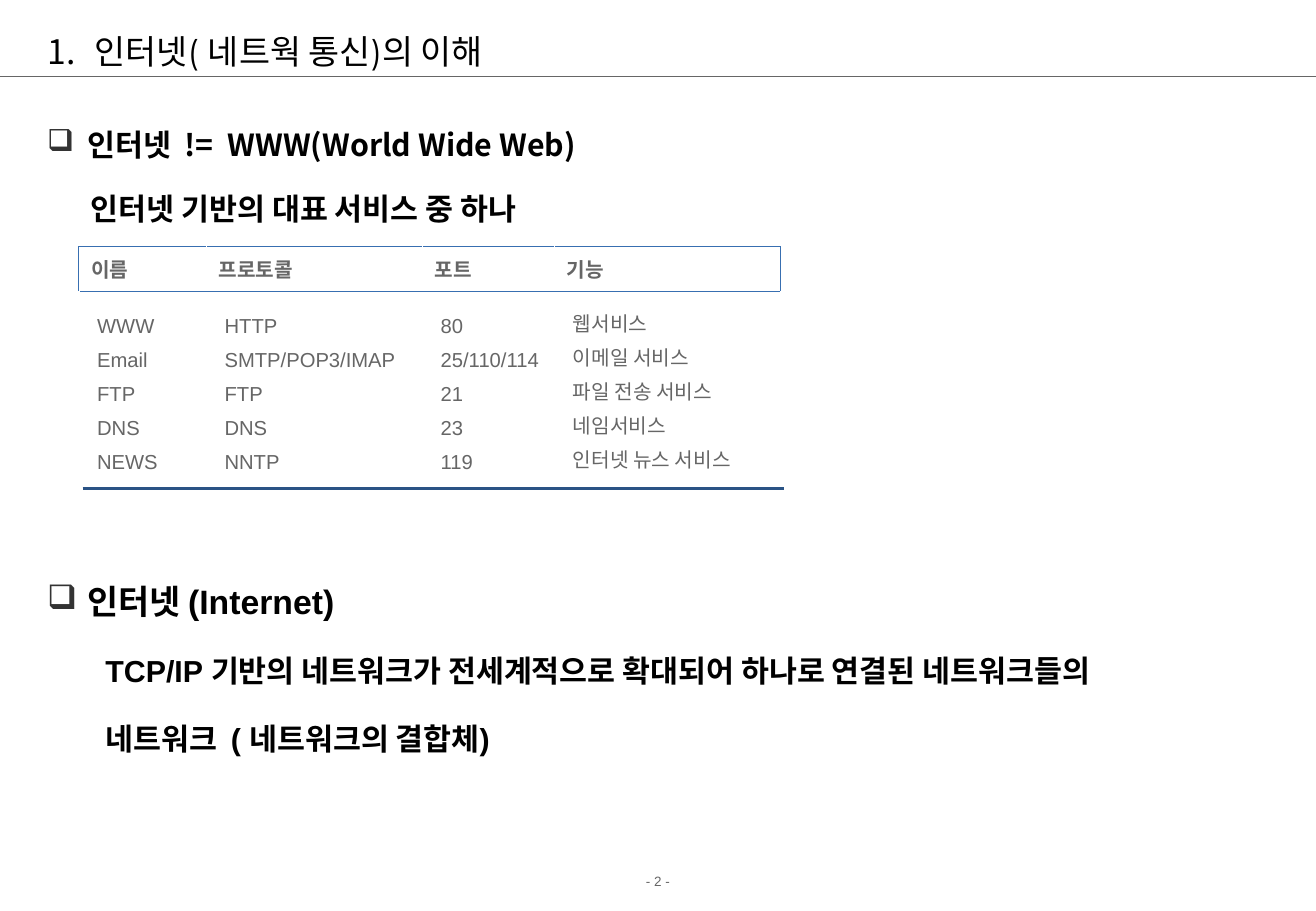
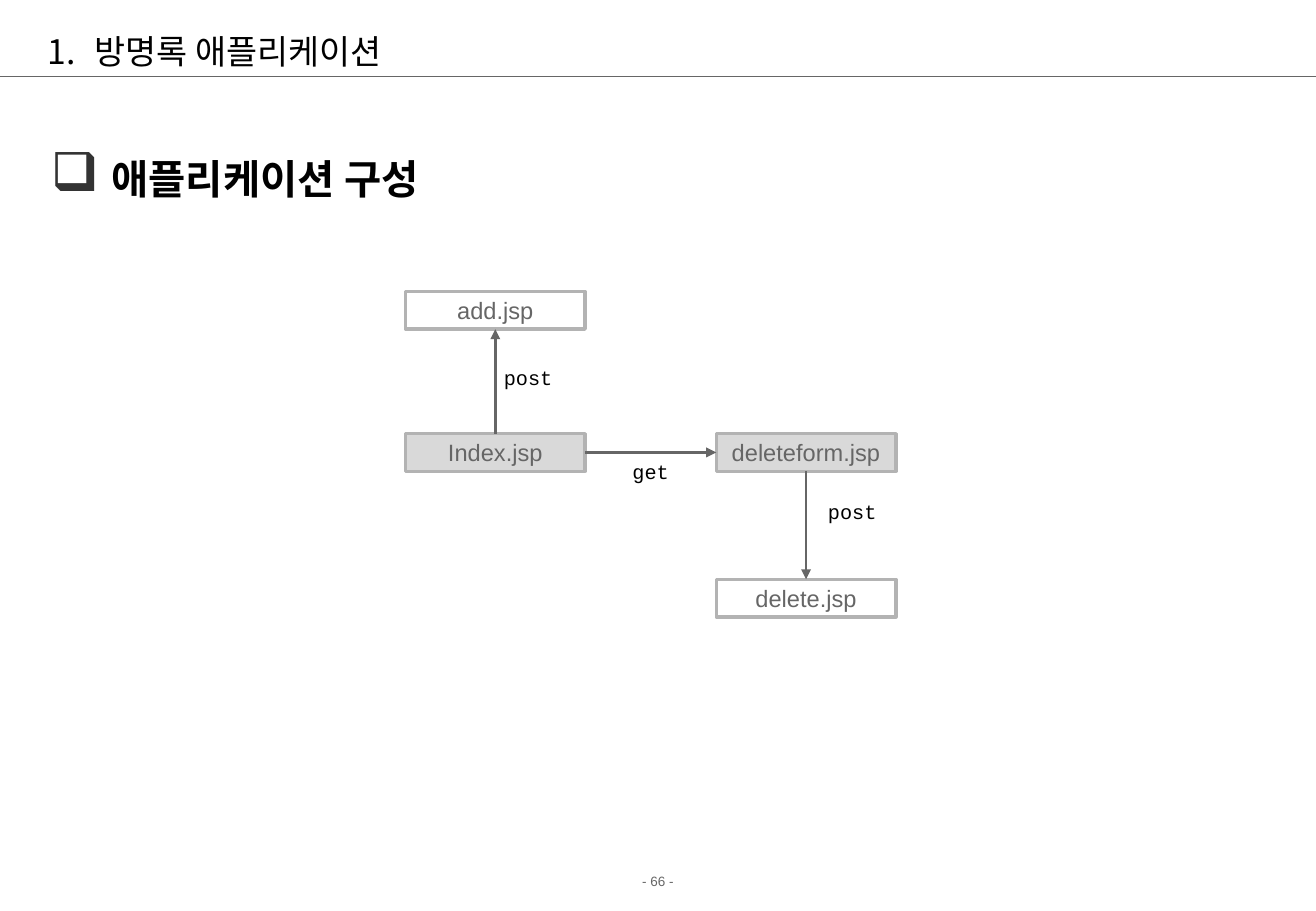
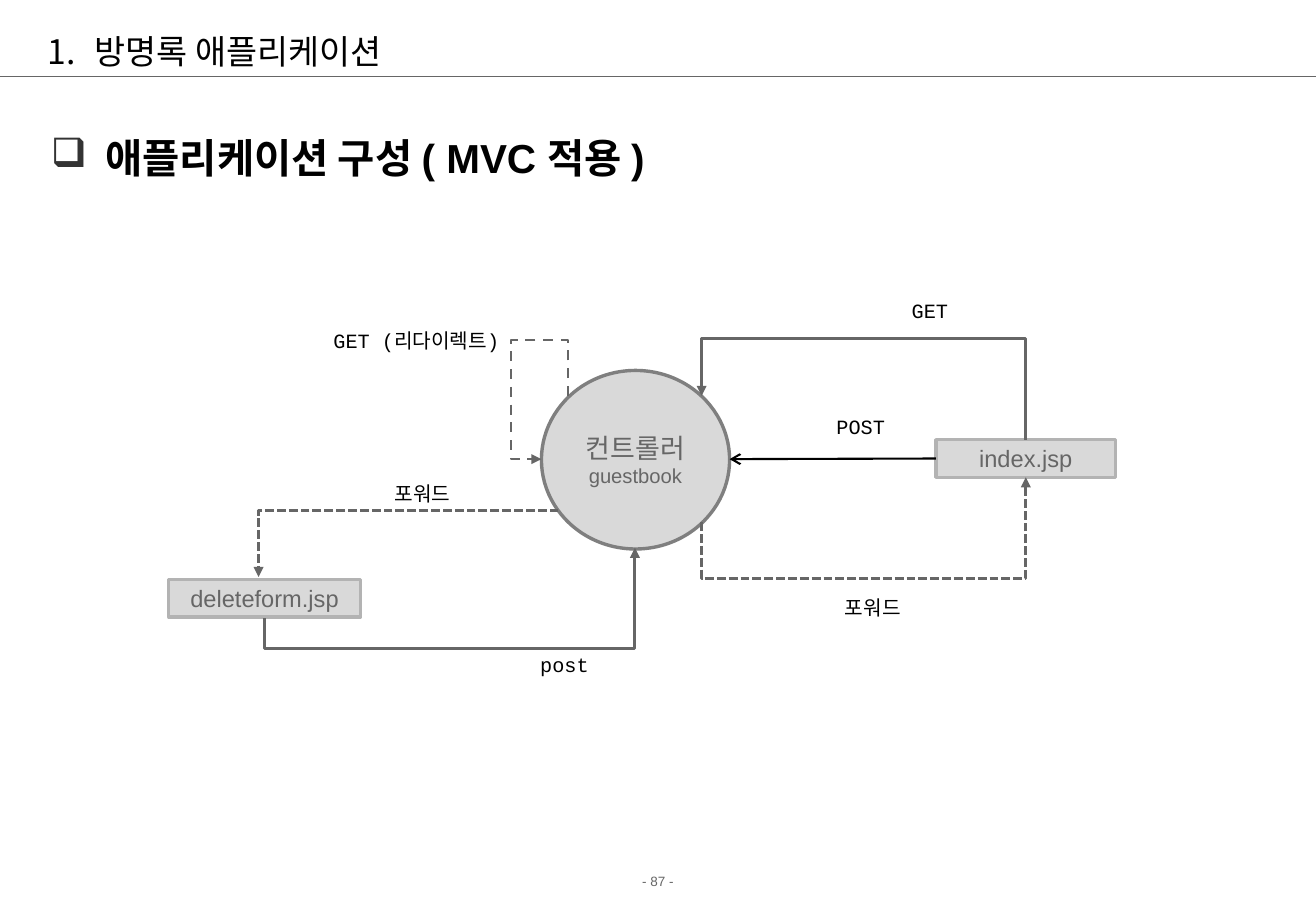
import lxml.etree
import pptx
import pptx.dml.color
import pptx.enum.dml
import pptx.enum.shapes
import pptx.enum.text
import pptx.oxml.ns
import pptx.util

Inches = pptx.util.Inches
Pt = pptx.util.Pt
rgb = pptx.dml.color.RGBColor.from_string
qn = pptx.oxml.ns.qn
add = lxml.etree.SubElement
Align = pptx.enum.text.PP_ALIGN
Anchor = pptx.enum.text.MSO_ANCHOR
Dash = pptx.enum.dml.MSO_LINE
Kind = pptx.enum.shapes.MSO_SHAPE
STRAIGHT = pptx.enum.shapes.MSO_CONNECTOR.STRAIGHT

BLACK, GRAY, PALE, EDGE = "000000", "666666", "D9D9D9", "B3B3B3"
BLUE, NAVY, RING, MARK = "386FB1", "2A5385", "7F7F7F", "333333"
CODE = "Courier New"


def put(para, text, size, color=GRAY, font="Arial", bold=False,
        align=Align.CENTER, indent=0, bullet=None, scale=100):
    """Fill a paragraph; a bullet hangs to the left of the indent."""
    para.text = text
    para.alignment = align
    props = para._p.get_or_add_pPr()
    props.set("marL", str(Inches(indent)))
    props.set("indent", str(-Inches(indent) if bullet else 0))
    if bullet:
        tint = add(props, qn("a:buClr"))
        add(tint, qn("a:srgbClr"), val=BLACK if bullet == "1." else MARK)
        add(props, qn("a:buSzPct"), val=str(scale * 1000))
        if bullet == "1.":
            add(props, qn("a:buAutoNum"), type="arabicPeriod")
        else:
            add(props, qn("a:buChar"), char=bullet)
    para.font.name = font
    para.font.size = Pt(size)
    para.font.bold = bold
    para.font.color.rgb = rgb(color)


def ink(shape, color, width, dash=None, tip=None):
    """Style an outline or line, without a shadow."""
    shape.line.color.rgb = rgb(color)
    shape.line.width = Pt(width)
    if dash:
        shape.line.dash_style = dash
    props = shape._element.spPr
    if tip:
        add(props.find(qn("a:ln")), qn("a:tailEnd"), type=tip)
    add(props, qn("a:effectLst"))


deck = pptx.Presentation()
deck.slide_width, deck.slide_height = Inches(10.84), Inches(7.5)

# Shared parts: title, rule and page number
pages = [
    ("인터넷( 네트웍 통신)의 이해", 2),
    ("방명록 애플리케이션", 66),
    ("방명록 애플리케이션", 87),
]
slides = []
for name, number in pages:
    slide = deck.slides.add_slide(deck.slide_layouts[5])
    slides.append(slide)
    title = slide.shapes.title
    title.left, title.top = Inches(0.29), Inches(0.21)
    title.width, title.height = Inches(10.17), Inches(0.42)
    title.text_frame.vertical_anchor = Anchor.MIDDLE
    put(title.text_frame.paragraphs[0], name, 20, BLACK, "Montserrat",
        align=Align.LEFT, indent=0.39, bullet="1.")
    rule = slide.shapes.add_connector(
        STRAIGHT, 0, Inches(0.63), Inches(10.84), Inches(0.63))
    ink(rule, GRAY, 0.75)
    foot = slide.shapes.add_textbox(0, Inches(7.14), Inches(10.84), Inches(0.24))
    foot.text_frame.word_wrap = True
    put(foot.text_frame.paragraphs[0], f"- {number} -", 8)
net, app, mvc = slides

# Headings with their text: slide, left, top, height, line pitch, paragraphs
# Each paragraph: text, size, font, indent, bullet, bullet scale
NOTO = "Noto Sans CJK KR"
blocks = [
    (net, 0.29, 0.76, 1.2, 38, [
        ("인터넷  !=  WWW(World Wide Web)", 18, NOTO, 0.33, "❑", 100),
        ("인터넷 기반의 대표 서비스 중 하나", 18, NOTO, 0.36, None, 100)]),
    (net, 0.29, 4.51, 1.8, 40, [
        ("인터넷 (Internet)", 20, "Arial", 0.33, "❑", 100),
        ("TCP/IP 기반의 네트워크가 전세계적으로 확대되어 하나로 연결된 네트워크들의",
         18, "Arial", 0.48, None, 100),
        ("네트워크  ( 네트워크의 결합체)", 18, "Arial", 0.48, None, 100)]),
    (app, 0.32, 1.12, 0.6, 36, [
        ("애플리케이션 구성", 24, "Arial", 0.5, "❑", 133)]),
    (mvc, 0.32, 0.95, 0.6, 36, [
        ("애플리케이션 구성 ( MVC 적용 )", 24, "Arial", 0.45, "❑", 100)]),
]
for slide, left, top, height, pitch, lines in blocks:
    box = slide.shapes.add_textbox(
        Inches(left), Inches(top), Inches(10.17), Inches(height))
    frame = box.text_frame
    frame.word_wrap = True
    for i, (text, size, font, indent, bullet, scale) in enumerate(lines):
        para = frame.add_paragraph() if i else frame.paragraphs[0]
        para.line_spacing = Pt(pitch)
        put(para, text, size, BLACK, font, True, Align.LEFT, indent, bullet, scale)

# Table of services
rows = [
    ("이름", "프로토콜", "포트", "기능"),
    ("WWW", "HTTP", "80", "웹서비스"),
    ("Email", "SMTP/POP3/IMAP", "25/110/114", "이메일 서비스"),
    ("FTP", "FTP", "21", "파일 전송 서비스"),
    ("DNS", "DNS", "23", "네임서비스"),
    ("NEWS", "NNTP", "119", "인터넷 뉴스 서비스"),
]
widths = [1.05, 1.78, 1.09, 1.86]
heights = [0.37, 0.4] + [0.28] * 4
table = net.shapes.add_table(
    len(rows), len(widths), Inches(0.65), Inches(2.03),
    Inches(sum(widths)), Inches(sum(heights))).table
table.first_row = table.horz_banding = False
for col, width in zip(table.columns, widths):
    col.width = Inches(width)
for r, row in enumerate(rows):
    table.rows[r].height = Inches(heights[r])
    for c, text in enumerate(row):
        cell = table.cell(r, c)
        cell.margin_left = Inches(0.15 if r else 0.1)
        cell.margin_right = 0
        cell.margin_top = cell.margin_bottom = Inches(0.02)
        cell.vertical_anchor = Anchor.BOTTOM if r else Anchor.MIDDLE
        put(cell.text_frame.paragraphs[0], text, 12, bold=r == 0, align=Align.LEFT)
        # Frame around the header row
        sides = {0: "TB", 1: "T"}.get(r, "")
        if r == 0:
            sides = {0: "L", len(row) - 1: "R"}.get(c, "") + sides
        for side in sides:
            edge = add(cell._tc.get_or_add_tcPr(), qn("a:ln" + side),
                       w=str(Pt(0.75)))
            add(add(edge, qn("a:solidFill")), qn("a:srgbClr"), val=BLUE)
        cell.fill.background()
base = net.shapes.add_connector(
    STRAIGHT, Inches(0.68), Inches(4.02), Inches(6.46), Inches(4.02))
ink(base, NAVY, 2)

# Nodes: slide, preset, place, fill, edge, lines of text with sizes
BOX = Kind.RECTANGLE
nodes = [
    (app, BOX, (3.34, 2.4, 1.48, 0.31), None, EDGE, [("add.jsp", 14)]),
    (app, BOX, (5.9, 4.77, 1.48, 0.31), None, EDGE, [("delete.jsp", 14)]),
    (app, BOX, (3.34, 3.57, 1.48, 0.31), PALE, EDGE, [("Index.jsp", 14)]),
    (app, BOX, (5.9, 3.57, 1.48, 0.31), PALE, EDGE, [("deleteform.jsp", 14)]),
    (mvc, BOX, (7.71, 3.62, 1.48, 0.31), PALE, EDGE, [("index.jsp", 14)]),
    (mvc, BOX, (1.39, 4.77, 1.58, 0.31), PALE, EDGE, [("deleteform.jsp", 14)]),
    (mvc, Kind.OVAL, (4.46, 3.05, 1.55, 1.47), PALE, RING,
     [("컨트롤러", 16), ("guestbook", 12)]),
]
made = []
for slide, kind, place, fill, edge, lines in nodes:
    node = slide.shapes.add_shape(kind, *map(Inches, place))
    made.append(node)
    ink(node, edge, 2)
    if fill:
        node.fill.solid()
        node.fill.fore_color.rgb = rgb(fill)
    else:
        node.fill.background()
    frame = node.text_frame
    frame.vertical_anchor = Anchor.MIDDLE
    for i, (text, size) in enumerate(lines):
        para = frame.add_paragraph() if i else frame.paragraphs[0]
        put(para, text, size)
plus, drop, home, form, index = made[:5]

# Straight arrows between boxes
for start, out, end, into in [(home, 0, plus, 2), (home, 3, form, 1),
                              (form, 2, drop, 0)]:
    arrow = app.shapes.add_connector(STRAIGHT, 0, 0, 0, 0)
    arrow.begin_connect(start, out)
    arrow.end_connect(end, into)
    ink(arrow, GRAY, 1.5, tip="triangle")
arrow = mvc.shapes.add_connector(
    STRAIGHT, Inches(7.71), Inches(3.78), Inches(6.01), Inches(3.78))
arrow.begin_connect(index, 1)
ink(arrow, BLACK, 1.25, tip="arrow")

# Bent arrows around the controller
routes = [
    (1.5, Dash.DASH, [(4.68, 3.26), (4.68, 2.8), (4.21, 2.8), (4.21, 3.78),
                      (4.46, 3.78)]),
    (1.75, Dash.SQUARE_DOT, [(5.78, 4.3), (5.78, 4.76), (8.45, 4.76),
                             (8.45, 3.93)]),
    (1.75, Dash.SQUARE_DOT, [(4.6, 4.2), (2.13, 4.2), (2.13, 4.75)]),
    (1.75, None, [(2.18, 5.09), (2.18, 5.34), (5.23, 5.34), (5.23, 4.51)]),
    (1.75, None, [(8.45, 3.62), (8.45, 2.79), (5.78, 2.79), (5.78, 3.26)]),
]
for width, dash, points in routes:
    first, *rest = [(Inches(x), Inches(y)) for x, y in points]
    pen = mvc.shapes.build_freeform(*first)
    pen.add_line_segments(rest, close=False)
    route = pen.convert_to_shape()
    route.fill.background()
    ink(route, GRAY, width, dash, "triangle")

# Labels of the arrows: slide, text, left, top, width
labels = [
    (app, "get", 5.11, 3.73, 0.5),
    (app, "post", 6.72, 4.06, 0.6),
    (app, "post", 4.05, 2.96, 0.6),
    (mvc, "POST", 6.79, 3.36, 0.6),
    (mvc, "GET (리다이렉트)", 2.59, 2.65, 1.68),
    (mvc, "포워드", 3.14, 3.91, 0.68),
    (mvc, "GET", 7.41, 2.41, 0.5),
    (mvc, "post", 4.1, 5.32, 1.1),
    (mvc, "포워드", 6.85, 4.85, 0.68),
]
for slide, text, left, top, width in labels:
    label = slide.shapes.add_textbox(
        Inches(left), Inches(top), Inches(width), Inches(0.3))
    put(label.text_frame.paragraphs[0], text, 12, BLACK, CODE)

deck.save("out.pptx")
